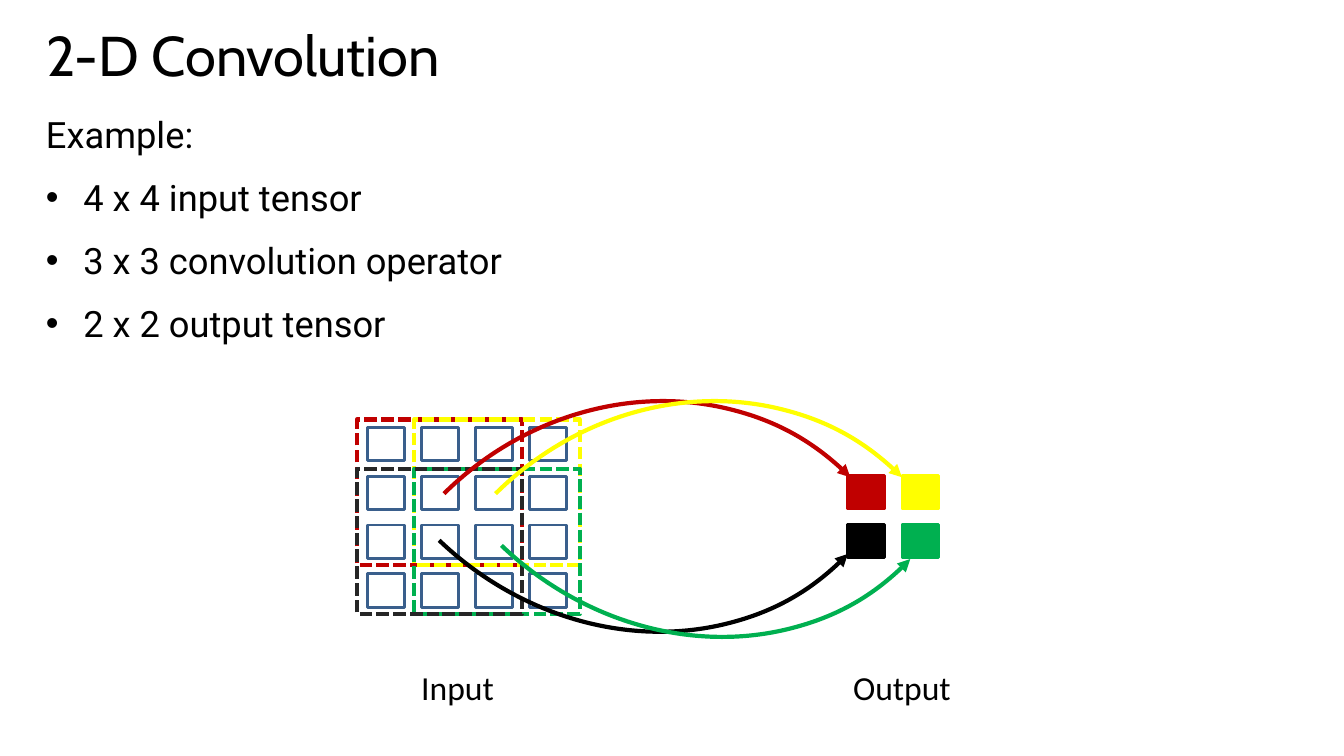
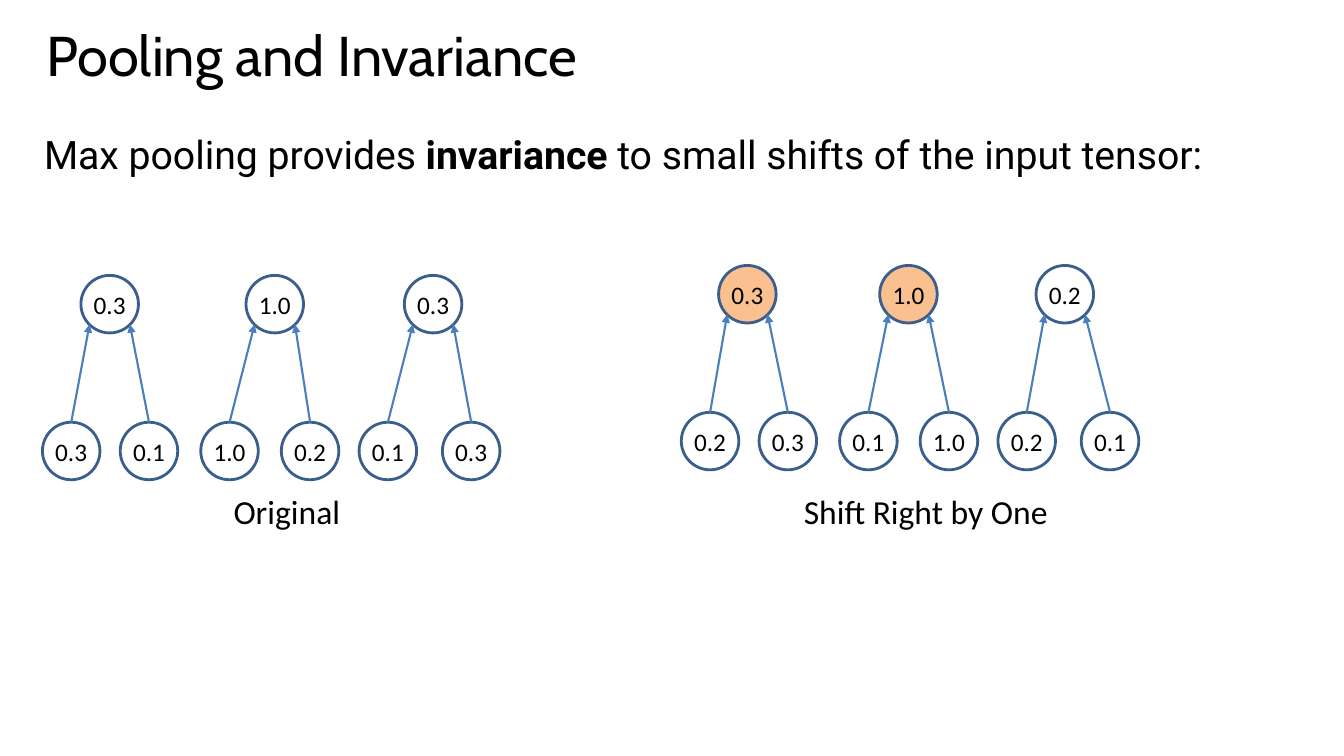
from pptx import Presentation
from pptx.dml.color import RGBColor
from pptx.enum.dml import MSO_LINE_DASH_STYLE as Dash
from pptx.enum.shapes import MSO_CONNECTOR as Connector, MSO_SHAPE as Shape
from pptx.enum.text import MSO_ANCHOR as Anchor, MSO_AUTO_SIZE as AutoSize, PP_ALIGN as Align
from pptx.oxml.ns import qn
from pptx.util import Cm, Pt
from lxml.etree import SubElement

COLORS = {
    "text": "000000",
    "outline": "3A5F8C",
    "arrow": "4B7EBC",
    "highlight": "FAC090",
    "red": "C00000",
    "yellow": "FFFF00",
    "green": "00B050",
    "black": "000000",
    "charcoal": "262626",
}
TITLE_FONT, BODY_FONT, LABEL_FONT = "Cabin", "Roboto", "Calibri"
CIRCLE = 1.45


def color(name):
    """Return the palette colour with this name."""
    return RGBColor.from_string(COLORS[name])


def cm_box(*lengths):
    """Convert the numbers of a box to lengths."""
    return [Cm(length) for length in lengths]


def format_runs(paragraph, font, size):
    """Set the typeface, size and colour of every run in a paragraph."""
    for run in paragraph.runs:
        run.font.name = font
        run.font.size = Pt(size)
        run.font.color.rgb = color("text")


def add_arrowhead(shape):
    """Put a triangle at the end of a line."""
    SubElement(shape.line._get_or_add_ln(), qn("a:tailEnd"), type="triangle")


def add_outlined(slide, kind, box, line, width, fill=None):
    """Add a preset shape with an outline and an optional fill."""
    shape = slide.shapes.add_shape(kind, *cm_box(*box))
    shape.shadow.inherit = False
    shape.line.color.rgb = color(line)
    shape.line.width = Pt(width)
    if fill:
        shape.fill.solid()
        shape.fill.fore_color.rgb = color(fill)
    else:
        shape.fill.background()
    return shape


def add_titled_slide(presentation, title):
    """Add a title-only slide and format its title."""
    slide = presentation.slides.add_slide(presentation.slide_layouts[5])
    shape = slide.shapes.title
    shape.left, shape.top, shape.width, shape.height = cm_box(0.91, 0.58, 32.36, 1.88)
    text_frame = shape.text_frame
    text_frame.text = title
    text_frame.auto_size = AutoSize.NONE
    text_frame.vertical_anchor = Anchor.MIDDLE
    paragraph = text_frame.paragraphs[0]
    paragraph.alignment = Align.LEFT
    paragraph.line_spacing = 0.8
    format_runs(paragraph, TITLE_FONT, 40)
    return slide


def add_text_frame(slide, box):
    """Add a wrapping text box and return its text frame."""
    text_frame = slide.shapes.add_textbox(*cm_box(*box)).text_frame
    text_frame.word_wrap = True
    return text_frame


def add_label(slide, text, left, top, width):
    """Add a centred caption below a figure."""
    paragraph = add_text_frame(slide, (left, top, width, 1.27)).paragraphs[0]
    paragraph.text = text
    paragraph.alignment = Align.CENTER
    format_runs(paragraph, LABEL_FONT, 24)


def add_bullet_list(slide, box, heading, items):
    """Add a heading followed by bulleted items."""
    text_frame = add_text_frame(slide, box)
    text_frame.text = heading
    for item in items:
        paragraph = text_frame.add_paragraph()
        paragraph.text = item
        paragraph.space_before = Pt(14)
        properties = paragraph._p.get_or_add_pPr()
        properties.set("marL", str(Cm(0.94)))
        properties.set("indent", str(-Cm(0.94)))
        SubElement(properties, qn("a:buFont"), typeface="Arial")
        SubElement(properties, qn("a:buChar"), char="•")
    for paragraph in text_frame.paragraphs:
        format_runs(paragraph, BODY_FONT, 25.9)


def add_sentence(slide, box, parts):
    """Add one paragraph from pairs of text and boldness."""
    paragraph = add_text_frame(slide, box).paragraphs[0]
    for text, bold in parts:
        run = paragraph.add_run()
        run.text = text
        run.font.bold = bold
    format_runs(paragraph, BODY_FONT, 28)


def add_input_grid(slide, left, top):
    """Draw the input cells and the four windows that slide over them."""
    for row in range(4):
        for column in range(4):
            cell = (left + 0.28 + column * 1.36, top + 0.2 + row * 1.23, 0.93, 0.84)
            add_outlined(slide, Shape.RECTANGLE, cell, "outline", 2)
    windows = [("red", 0, 0), ("yellow", 1, 0), ("green", 1, 1), ("charcoal", 0, 1)]
    for name, column, row in windows:
        box = (left + column * 1.45, top + row * 1.24, 4.17, 3.66)
        window = add_outlined(slide, Shape.RECTANGLE, box, name, 3)
        window.line.dash_style = Dash.SQUARE_DOT
        window.line._get_or_add_ln().find(qn("a:prstDash")).set("val", "sysDash")


def add_output_grid(slide, left, top):
    """Draw the four filled output cells."""
    for index, name in enumerate(["red", "yellow", "black", "green"]):
        row, column = divmod(index, 2)
        cell = (left + column * 1.37, top + row * 1.22, 0.93, 0.84)
        add_outlined(slide, Shape.RECTANGLE, cell, name, 2, name)


def add_arc_arrow(slide, box, name, rotation, flipped):
    """Draw a curved arrow from an input window to its output cell."""
    arc = add_outlined(slide, Shape.ARC, box, name, 3)
    arc.rotation = rotation
    if flipped:
        arc.element.spPr.get_or_add_xfrm().set("flipV", "1")
    add_arrowhead(arc)


def add_convolution(slide, left, top):
    """Draw the input, the output and the arrows between them."""
    add_input_grid(slide, left, top)
    add_output_grid(slide, left + 12.37, top + 1.42)
    add_label(slide, "Input", left - 0.38, top + 6.12, 5.84)
    add_label(slide, "Output", left + 10.82, top + 6.12, 5.84)
    arcs = [
        ("red", -0.51, -0.13, 15.14, 13.82, False),
        ("yellow", 0.79, -0.13, 15.14, 13.82, False),
        ("black", -0.86, -8.79, 15.37, 13.74, True),
        ("green", 0.71, -8.66, 15.37, 13.74, True),
    ]
    for name, shift_x, shift_y, width, height, flipped in arcs:
        box = (left + shift_x, top + shift_y, width, height)
        add_arc_arrow(slide, box, name, 43.7 if flipped else 315.3, flipped)


def add_node(slide, left, top, value, fill=None):
    """Draw a circle that holds a value."""
    node = add_outlined(slide, Shape.OVAL, (left, top, CIRCLE, CIRCLE), "outline", 2, fill)
    text_frame = node.text_frame
    text_frame.margin_left = text_frame.margin_right = 0
    text_frame.margin_top = text_frame.margin_bottom = 0
    text_frame.word_wrap = False
    text_frame.vertical_anchor = Anchor.MIDDLE
    paragraph = text_frame.paragraphs[0]
    paragraph.text = value
    paragraph.alignment = Align.CENTER
    format_runs(paragraph, LABEL_FONT, 18)
    return node


def add_node_arrow(slide, child, x, y):
    """Draw an arrow from the top of a child node to a point."""
    arrow = slide.shapes.add_connector(Connector.STRAIGHT, 0, 0, Cm(x), Cm(y))
    arrow.begin_connect(child, 0)
    arrow.line.color.rgb = color("arrow")
    arrow.line.width = Pt(1.5)
    SubElement(arrow.element.spPr, qn("a:effectLst"))
    add_arrowhead(arrow)


def add_pooling(slide, left, top, inputs, outputs):
    """Draw a row of pooled values above the pairs they come from."""
    child_lefts = [0, 1.96, 3.99, 6.02, 7.98, 10.08]
    children = [
        add_node(slide, left + child_left, top + 3.7, value)
        for child_left, value in zip(child_lefts, inputs)
    ]
    for index, (parent_left, value, fill) in enumerate(outputs):
        x = left + parent_left
        add_node(slide, x, top, value, fill)
        for child, share in zip(children[2 * index:2 * index + 2], (0.15, 0.85)):
            add_node_arrow(slide, child, x + share * CIRCLE, top + 0.85 * CIRCLE)


def build_convolution_slide(presentation):
    """Build the slide on two-dimensional convolution."""
    slide = add_titled_slide(presentation, "2-D Convolution")
    items = ["4 x 4 input tensor", "3 x 3 convolution operator", "2 x 2 output tensor"]
    add_bullet_list(slide, (0.91, 2.7, 32, 5.56), "Example:", items)
    add_convolution(slide, 8.99, 10.57)


def build_pooling_slide(presentation):
    """Build the slide on max pooling and shifts."""
    slide = add_titled_slide(presentation, "Pooling and Invariance")
    parts = [
        ("Max pooling provides ", False),
        ("invariance", True),
        (" to small shifts of the input tensor:", False),
    ]
    add_sentence(slide, (0.86, 3.15, 32, 1.65), parts)
    add_pooling(
        slide, 1.07, 6.94,
        ["0.3", "0.1", "1.0", "0.2", "0.1", "0.3"],
        [(0.97, "0.3", None), (5.13, "1.0", None), (9.12, "0.3", None)],
    )
    add_pooling(
        slide, 17.17, 6.69,
        ["0.2", "0.3", "0.1", "1.0", "0.2", "0.1"],
        [(0.94, "0.3", "highlight"), (5, "1.0", "highlight"), (8.94, "0.2", None)],
    )
    add_label(slide, "Original", 3.56, 12.24, 7.34)
    add_label(slide, "Shift Right by One", 19.66, 12.24, 7.34)


def main():
    """Build and save the presentation."""
    presentation = Presentation()
    presentation.slide_width, presentation.slide_height = cm_box(33.87, 19.05)
    build_convolution_slide(presentation)
    build_pooling_slide(presentation)
    presentation.save("out.pptx")


if __name__ == "__main__":
    main()
